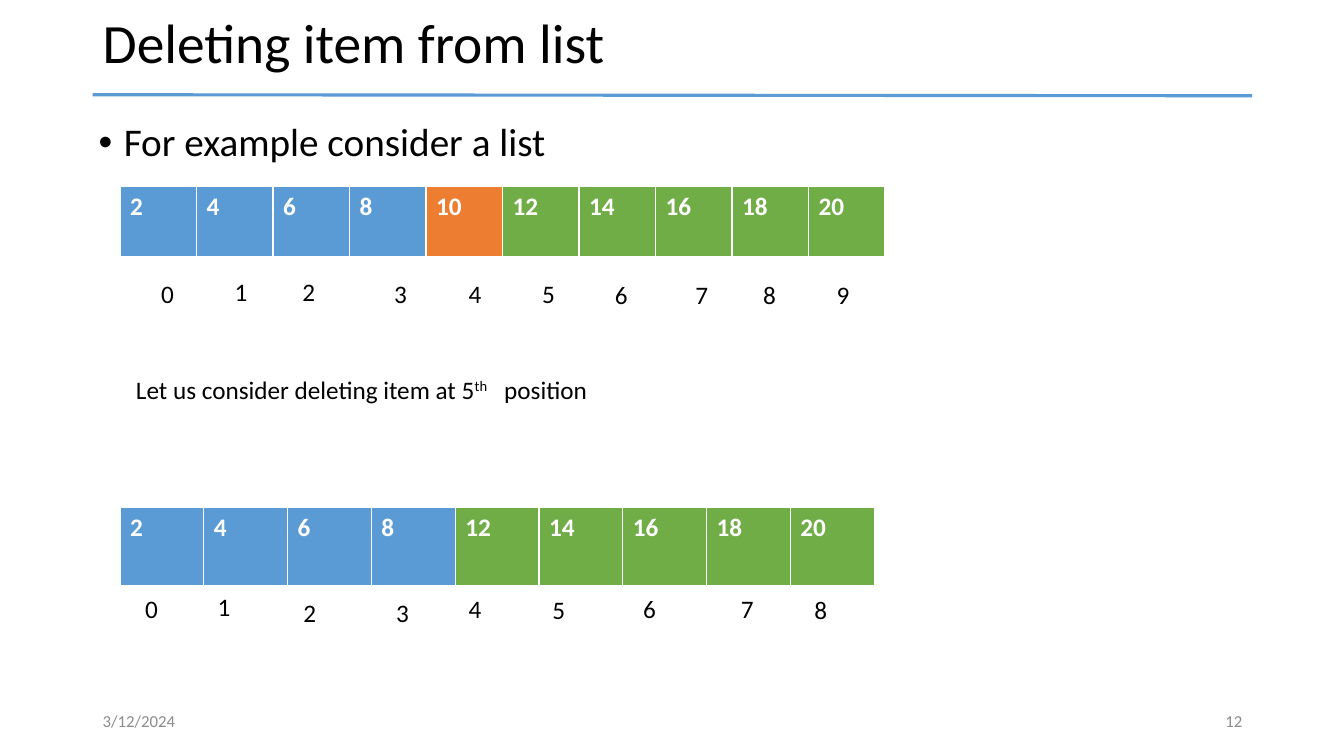
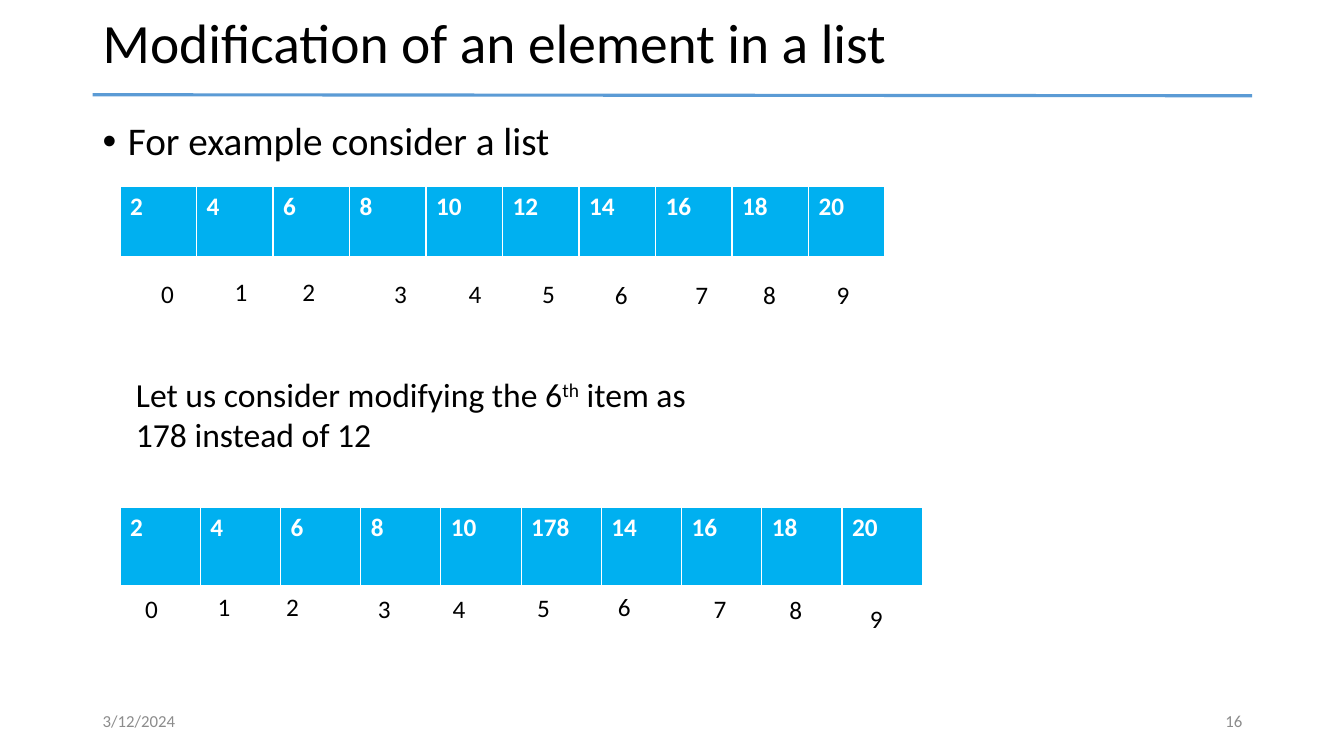
"""Build two slides on deleting and modifying items of a list."""
from dataclasses import dataclass
from typing import NamedTuple

from lxml import etree
from pptx import Presentation
from pptx import slide as s
from pptx import util as u
from pptx.dml import color as c
from pptx.enum import shapes, text
from pptx.oxml import ns

PX = 9144
FONT = "Calibri"
DATE = "3/12/2024"
HUES = {
    "ink": "000000",
    "paper": "FFFFFF",
    "rule": "5B9BD5",
    "foot": "8C8C8C",
    "keep": "5B9BD5",
    "drop": "ED7D31",
    "move": "70AD47",
    "sky": "00B0F0",
}
EDGES = {"lnL": 1, "lnR": 1, "lnT": 1, "lnB": 3}


class Box(NamedTuple):
    x: int
    y: int
    w: int
    h: int


class Spot(NamedTuple):
    x: int
    y: int


class Part(NamedTuple):
    text: str
    base: int = 0
    space: int = 0


class Look(NamedTuple):
    size: float
    hue: str = "ink"
    align: text.PP_ALIGN = text.PP_ALIGN.LEFT
    anchor: text.MSO_ANCHOR = text.MSO_ANCHOR.TOP
    lead: float = 1.0
    wrap: bool = True


@dataclass
class Row:
    box: Box
    items: list[int]
    hues: list[str]
    spots: list[Spot]


@dataclass
class Page:
    title: str
    point: Spot
    rows: list[Row]
    note: list[Part]
    size: int
    num: int


MID = text.MSO_ANCHOR.MIDDLE
TITLE = Look(39.6, anchor=MID, lead=0.9)
POINT = Look(28, lead=0.9)
INDEX = Look(18, wrap=False)
STAMP = Look(12, "foot", anchor=MID)
COUNT = Look(12, "foot", text.PP_ALIGN.RIGHT, MID)

FIRST = Box(119, 185, 759, 71)
EVENS = list(range(2, 21, 2))


def pair(xs: list[int], ys: list[int]) -> list[Spot]:
    return [Spot(x, y) for x, y in zip(xs, ys)]


UPPER = pair(
    [150, 223, 290, 381, 455, 528, 600, 680, 747, 820],
    [271, 269, 269, 271, 271, 271, 272, 272, 272, 272],
)

PAGES = [
    Page(
        "Deleting item from list",
        Spot(88, 117),
        [
            Row(FIRST, EVENS, ["keep"] * 4 + ["drop"] + ["move"] * 5, UPPER),
            Row(
                Box(119, 503, 748, 79),
                [n for n in EVENS if n != 10],
                ["keep"] * 4 + ["move"] * 5,
                pair(
                    [134, 206, 291, 383, 455, 538, 628, 725, 798],
                    [584, 582, 588, 588, 584, 585, 584, 584, 585],
                ),
            ),
        ],
        [
            Part("Let us consider deleting item at 5"),
            Part("th", base=30),
            Part(" ", space=8),
            Part("position"),
        ],
        18,
        12,
    ),
    Page(
        "Modification of an element in a list",
        Spot(92, 116),
        [
            Row(FIRST, EVENS, ["sky"] * 10, UPPER),
            Row(
                Box(119, 503, 796, 79),
                [178 if n == 12 else n for n in EVENS],
                ["sky"] * 10,
                pair(
                    [134, 206, 274, 365, 439, 523, 603, 698, 773, 853],
                    [584, 582, 582, 584, 584, 583, 582, 584, 585, 594],
                ),
            ),
        ],
        [
            Part("Let us consider modifying the 6"),
            Part("th", base=30),
            Part(" item as 178 instead of 12"),
        ],
        24,
        16,
    ),
]


def px(*sides: int) -> list[u.Emu]:
    return [u.Emu(side * PX) for side in sides]


def rgb(hue: str) -> c.RGBColor:
    return c.RGBColor.from_string(HUES[hue])


def dress(run, size: float, hue: str, bold: bool = False) -> None:
    run.font.name = FONT
    run.font.size = u.Pt(size)
    run.font.bold = bold
    run.font.color.rgb = rgb(hue)


def write(page: s.Slide, box: Box, parts: list[Part], look: Look):
    frame = page.shapes.add_textbox(*px(*box)).text_frame
    frame.word_wrap = look.wrap
    frame.vertical_anchor = look.anchor
    para = frame.paragraphs[0]
    para.alignment = look.align
    para.line_spacing = look.lead
    para.text = parts[0].text
    for part in parts[1:]:
        para.add_run().text = part.text
    for run, part in zip(para.runs, parts):
        dress(run, look.size, look.hue)
        props = run._r.get_or_add_rPr()
        if part.base:
            props.set("baseline", str(part.base * 1000))
        if part.space:
            props.set("spc", str(part.space * 100))
    return para


def bullet(para) -> None:
    para.space_before = u.Pt(10)
    props = para._p.get_or_add_pPr()
    props.set("marL", str(25 * PX))
    props.set("indent", str(-25 * PX))
    etree.SubElement(props, ns.qn("a:buFont")).set("typeface", "Arial")
    etree.SubElement(props, ns.qn("a:buChar")).set("char", "•")


def edge(cell) -> None:
    props = cell._tc.get_or_add_tcPr()
    for tag, width in EDGES.items():
        line = etree.SubElement(props, ns.qn(f"a:{tag}"))
        line.set("w", str(u.Pt(width)))
        fill = etree.SubElement(line, ns.qn("a:solidFill"))
        etree.SubElement(fill, ns.qn("a:srgbClr")).set("val", HUES["paper"])


def draw(page: s.Slide, row: Row) -> None:
    count = len(row.items)
    grid = page.shapes.add_table(1, count, *px(*row.box)).table
    for col, item, hue in zip(range(count), row.items, row.hues):
        grid.columns[col].width = u.Emu(row.box.w * PX // count)
        cell = grid.cell(0, col)
        edge(cell)
        cell.fill.solid()
        cell.fill.fore_color.rgb = rgb(hue)
        cell.text_frame.text = str(item)
        dress(cell.text_frame.paragraphs[0].runs[0], 18, "paper", True)
    for num, spot in enumerate(row.spots):
        write(page, Box(*spot, 33, 40), [Part(str(num))], INDEX)


def rule(page: s.Slide) -> None:
    line = page.shapes.add_connector(
        shapes.MSO_CONNECTOR.STRAIGHT, *px(92, 94, 1242, 95)
    )
    line.line.color.rgb = rgb("rule")
    line.line.width = u.Pt(2.25)
    etree.SubElement(line._element.spPr, ns.qn("a:effectLst"))


def build(page: s.Slide, plan: Page) -> None:
    rule(page)
    write(page, Box(92, 11, 1150, 69), [Part(plan.title)], TITLE)
    point = Box(*plan.point, 1150, 558)
    bullet(write(page, point, [Part("For example consider a list")], POINT))
    for row in plan.rows:
        draw(page, row)
    write(page, Box(125, 366, 588, 40), plan.note, Look(plan.size))
    write(page, Box(92, 695, 300, 40), [Part(DATE)], STAMP)
    write(page, Box(942, 695, 300, 40), [Part(str(plan.num))], COUNT)


def main() -> None:
    deck = Presentation()
    deck.slide_width, deck.slide_height = px(1333, 750)
    for plan in PAGES:
        build(deck.slides.add_slide(deck.slide_layouts[6]), plan)
    deck.save("out.pptx")


if __name__ == "__main__":
    main()
